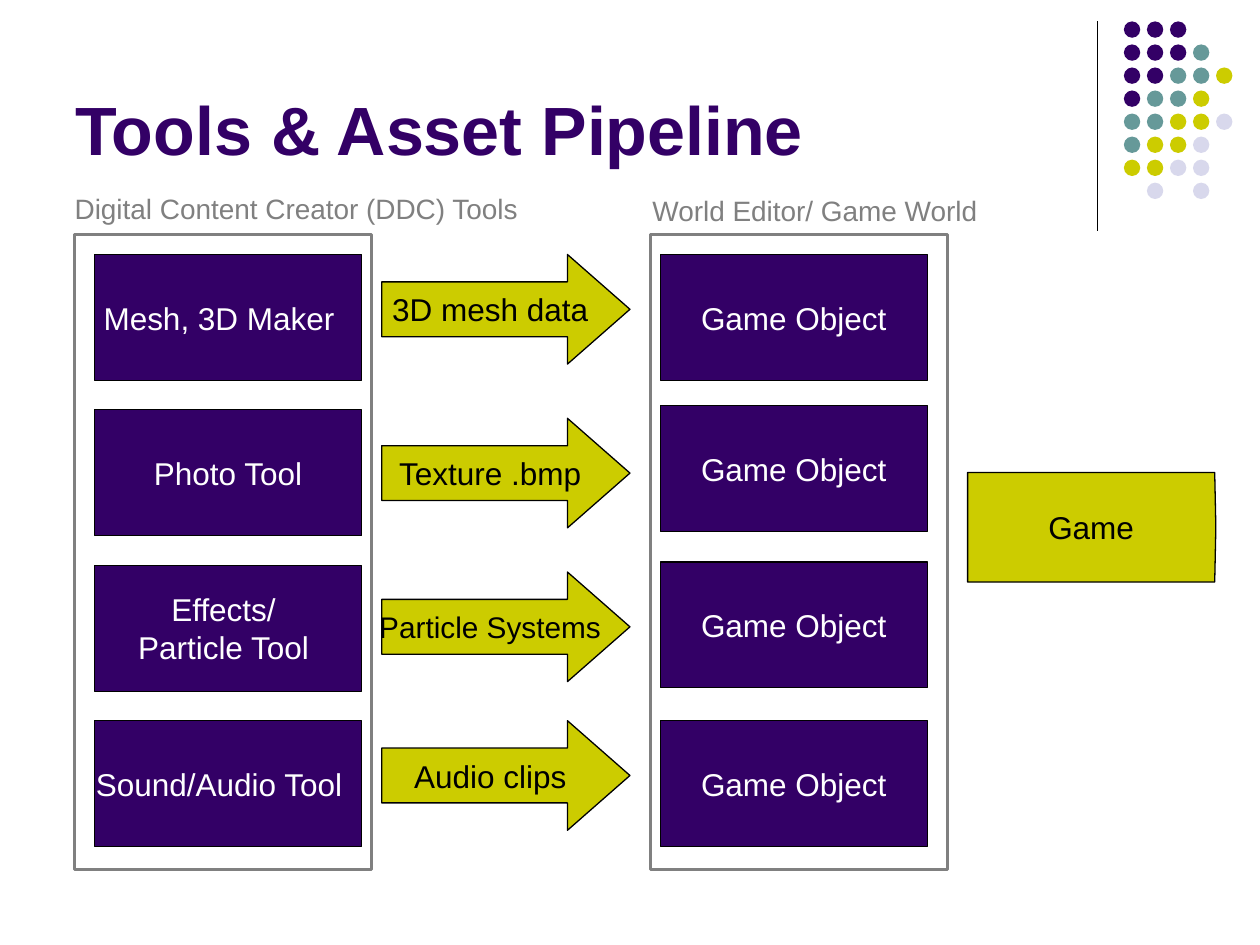
from lxml import etree
from pptx import Presentation
from pptx import util as u
from pptx.dml.color import RGBColor
from pptx.enum import shapes, text
from pptx.oxml.ns import qn

THEME = {
    "font": "Arial",
    "purple": "330066", "teal": "669999", "lime": "CCCC00", "lilac": "D8D8EC",
    "gray": "808080", "black": "000000", "white": "FFFFFF",
    "title": 39, "label": 16, "body": 18, "tight": 17,
    "thin": 0.75, "thick": 1.75,
}

TITLE = "Tools & Asset Pipeline"
# Tool name lines and extra right inset
TOOLS = [
    (["Mesh, 3D Maker"], 0.14),
    (["Photo Tool"], 0),
    (["Effects/", "Particle Tool"], 0.07),
    (["Sound/Audio Tool"], 0.14),
]
ASSETS = [("3D mesh data", "body"), ("Texture .bmp", "body"),
          ("Particle Systems", "tight"), ("Audio clips", "body")]
LABELS = [
    ("Digital Content Creator (DDC) Tools", 0.43, 1.47, "RIGHT"),
    ("World Editor/ Game World", 5.08, 1.49, "LEFT"),
]
DOT_COLORS = {"P": "purple", "T": "teal", "L": "lime", "V": "lilac"}
DOTS = ["PPP..", "PPPT.", "PPTTL", "PTTL.", "TTLLV", "TLLV.", "LLVV.", ".V.V."]

# Left edges of the columns and top edges of the rows, in inches
FRAME_LEFTS, FRAME_TOP, FRAME_SIZE = (0.59, 5.16), 1.86, (2.36, 5.04)
TOOL_LEFT, ARROW_LEFT, OBJECT_LEFT, GAME_LEFT = 0.75, 3.03, 5.24, 7.68
FIRST_ROW, LAST_ROW = 2.02, 5.72
ARROW_TOPS = (FIRST_ROW, 3.32, 4.54, LAST_ROW)
OBJECT_TOPS = (FIRST_ROW, 3.22, 4.46, LAST_ROW)
BOX_SIZE, ARROW_SIZE = (2.12, 1), (1.97, 0.87)
DOT_LEFT, DOT_TOP, DOT_SIZE = 8.92, 0.17, 0.13
DOT_STEP = 1.28 / (len(DOTS) - 1)


def color(name):
    return RGBColor.from_string(THEME[name])


def inches(*lengths):
    return [u.Inches(length) for length in lengths]


def write(box, lines, size, ink, align="CENTER", bold=False, **frame_format):
    frame = box.text_frame
    settings = {"word_wrap": False, "vertical_anchor": text.MSO_ANCHOR.MIDDLE}
    for key, value in (settings | frame_format).items():
        setattr(frame, key, value)
    for index, line in enumerate(lines):
        para = frame.add_paragraph() if index else frame.paragraphs[0]
        para.alignment = text.PP_ALIGN[align]
        span = para.add_run()
        span.text = line
        font = {"name": THEME["font"], "size": u.Pt(THEME[size]), "bold": bold}
        for key, value in font.items():
            setattr(span.font, key, value)
        span.font.color.rgb = color(ink)


def add_box(parent, kind, place, fill=None, line=None, weight="thin"):
    box = parent.add_shape(shapes.MSO_SHAPE[kind], *inches(*place))
    box.shadow.inherit = False
    if fill:
        box.fill.solid()
        box.fill.fore_color.rgb = color(fill)
    else:
        box.fill.background()
    if line:
        box.line.color.rgb = color(line)
        box.line.width = u.Pt(THEME[weight])
    else:
        box.line.fill.background()
    return box


def add_arrow(page, left, top, label, size, shaft, head):
    arrow = add_box(page.shapes, "RIGHT_ARROW", (left, top, *ARROW_SIZE), "lime", "black")
    arrow.adjustments[0], arrow.adjustments[1] = shaft, head
    write(arrow, [label], size, "black")


def add_corner(page):
    """Draw the rule and the dot pattern at the top right."""
    rule = page.shapes.add_connector(shapes.MSO_CONNECTOR.STRAIGHT,
                                     *inches(8.71, 0.17, 8.71, 1.83))
    rule.line.color.rgb = color("black")
    rule.line.width = u.Pt(THEME["thin"])
    etree.SubElement(rule._element.spPr, qn("a:effectLst"))
    dots = page.shapes.add_group_shape().shapes
    for row, pattern in enumerate(DOTS):
        for column, key in enumerate(pattern):
            if key in DOT_COLORS:
                place = (DOT_LEFT + column * DOT_STEP, DOT_TOP + row * DOT_STEP,
                         DOT_SIZE, DOT_SIZE)
                add_box(dots, "OVAL", place, DOT_COLORS[key])


def add_headings(page):
    title = page.shapes.add_textbox(*inches(0.5, -0.03, 8.25, 1.42))
    write(title, [TITLE], "title", "purple", "LEFT", True,
          word_wrap=True, vertical_anchor=text.MSO_ANCHOR.BOTTOM)
    for label, left, top, align in LABELS:
        box = page.shapes.add_textbox(*inches(left, top, 3.78, 0.37))
        write(box, [label], "label", "gray", align, word_wrap=True,
              vertical_anchor=text.MSO_ANCHOR.TOP,
              auto_size=text.MSO_AUTO_SIZE.SHAPE_TO_FIT_TEXT)


def add_pipeline(page):
    row_step = (LAST_ROW - FIRST_ROW) / (len(TOOLS) - 1)
    for row, (lines, inset) in enumerate(TOOLS):
        place = (TOOL_LEFT, FIRST_ROW + row * row_step, *BOX_SIZE)
        tool = add_box(page.shapes, "RECTANGLE", place, "purple", "black")
        write(tool, lines, "body", "white", margin_right=u.Inches(0.1 + inset))
    for top, (label, size) in zip(ARROW_TOPS, ASSETS):
        add_arrow(page, ARROW_LEFT, top, label, size, 0.5, 0.57)
    for top in OBJECT_TOPS:
        item = add_box(page.shapes, "RECTANGLE", (OBJECT_LEFT, top, *BOX_SIZE),
                       "purple", "black")
        write(item, ["Game Object"], "body", "white")
    for left in FRAME_LEFTS:
        add_box(page.shapes, "RECTANGLE", (left, FRAME_TOP, *FRAME_SIZE),
                line="gray", weight="thick")
    add_arrow(page, GAME_LEFT, 3.75, "Game", "body", 1, 0.01)


def main():
    deck = Presentation()
    deck.slide_width, deck.slide_height = inches(10, 7.5)
    page = deck.slides.add_slide(deck.slide_layouts[6])
    add_corner(page)
    add_headings(page)
    add_pipeline(page)
    deck.save("out.pptx")


if __name__ == "__main__":
    main()
